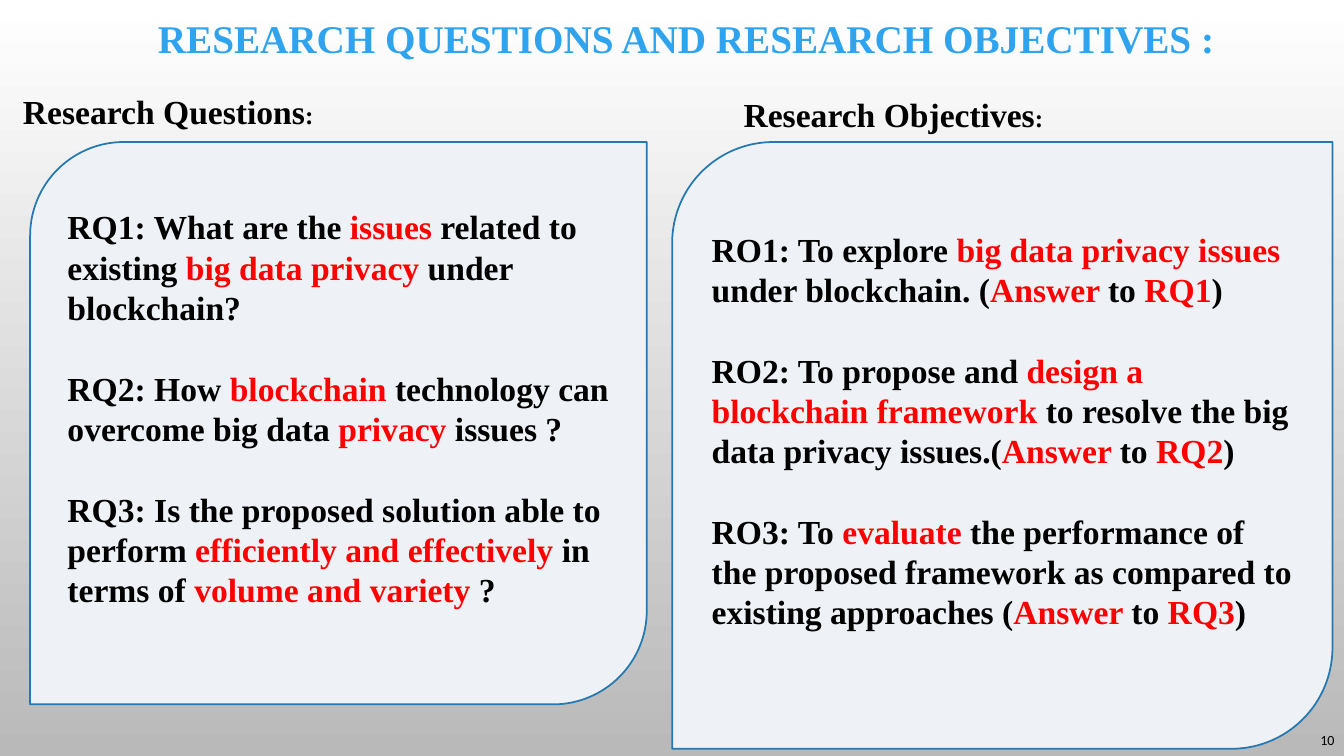
from pptx import Presentation
from pptx.dml.color import RGBColor
from pptx.enum.shapes import MSO_SHAPE
from pptx.enum.text import MSO_ANCHOR, MSO_AUTO_SIZE, PP_ALIGN
from pptx.util import Cm, Pt

PANEL = MSO_SHAPE.ROUND_2_DIAG_RECTANGLE
MIDDLE = MSO_ANCHOR.MIDDLE
GROW = MSO_AUTO_SIZE.SHAPE_TO_FIT_TEXT
LEFT, RIGHT = PP_ALIGN.LEFT, PP_ALIGN.RIGHT
SERIF, SANS = "Times New Roman", "Calibri"
BLACK, RED, BLUE = "000000", "FF0000", "2FA3EE"
PANEL_FILL, PANEL_LINE = "EEF2F7", "2379B0"
BACKGROUND = ["FFFFFF", "B9B9B9"]

# Content: boxes are left, top, width, height in cm; *stars* mark red words
TITLE = "RESEARCH QUESTIONS AND RESEARCH OBJECTIVES :"
TITLE_BOX = (3.73, 0.23, 27.69, 1.45)
PAGE_NUMBER = "10"
PAGE_NUMBER_BOX = (31.75, 18.26, 2.13, 0.79)
COLUMNS = [
    {
        "heading": "Research Questions",
        "heading_box": (0.33, 2.16, 7.9, 1.27),
        "panel_box": (0.76, 3.58, 15.54, 14.17),
        "items": [
            "RQ1: What are the *issues *related to existing *big data privacy *under blockchain?",
            "RQ2: How *blockchain *technology can overcome big data *privacy *issues ?",
            "RQ3: Is the proposed solution able to perform *efficiently and effectively *"
            "in terms of *volume and variety *?",
        ],
    },
    {
        "heading": "Research Objectives",
        "heading_box": (18.49, 2.24, 8.13, 1.27),
        "panel_box": (16.94, 3.58, 16.64, 15.29),
        "items": [
            "RO1: To explore *big data privacy issues *under blockchain. (*Answer *to *RQ1*)",
            "RO2: To propose and *design a blockchain framework *to resolve the big data "
            "privacy issues.(*Answer *to *RQ2*)",
            "RO3: To *evaluate *the performance of the proposed framework as compared to "
            "existing approaches (*Answer *to *RQ3*)",
        ],
    },
]


def color(value):
    return RGBColor.from_string(value)


def add_run(paragraph, text, size, shade=BLACK, font=SERIF, bold=True):
    run = paragraph.add_run()
    run.text = text
    run.font.size = Pt(size)
    run.font.name = font
    run.font.bold = bold
    run.font.color.rgb = color(shade)


def add_label(slide, box):
    frame = slide.shapes.add_textbox(*map(Cm, box)).text_frame
    frame.word_wrap = False
    frame.auto_size = GROW
    return frame.paragraphs[0]


def add_panel(slide, box, items):
    shape = slide.shapes.add_shape(PANEL, *map(Cm, box))
    shape.shadow.inherit = False
    shape.fill.solid()
    shape.fill.fore_color.rgb = color(PANEL_FILL)
    shape.line.color.rgb = color(PANEL_LINE)
    shape.line.width = Pt(1.25)
    frame = shape.text_frame
    frame.word_wrap = True
    frame.vertical_anchor = MIDDLE
    frame.margin_bottom = Cm(0.9)
    for index, item in enumerate(items):
        paragraph = frame.add_paragraph() if index else frame.paragraphs[0]
        paragraph.alignment = LEFT
        if index:
            paragraph.space_before = Pt(28.8)
        for part, text in enumerate(item.split("*")):
            add_run(paragraph, text, 24, RED if part % 2 else BLACK)


def main():
    presentation = Presentation()
    presentation.slide_width, presentation.slide_height = Cm(33.87), Cm(19.05)
    slide = presentation.slides.add_slide(presentation.slide_layouts[6])

    # Background, light at the top
    fill = slide.background.fill
    fill.gradient()
    fill.gradient_angle = 270
    for stop, shade in zip(fill.gradient_stops, BACKGROUND):
        stop.color.rgb = color(shade)

    # Title
    add_run(add_label(slide, TITLE_BOX), TITLE, 28, BLUE)

    # Headings and panels
    for column in COLUMNS:
        heading = add_label(slide, column["heading_box"])
        add_run(heading, column["heading"], 24)
        add_run(heading, ":", 18)
        add_panel(slide, column["panel_box"], column["items"])

    # Page number
    frame = slide.shapes.add_textbox(*map(Cm, PAGE_NUMBER_BOX)).text_frame
    frame.word_wrap = True
    frame.vertical_anchor = MIDDLE
    frame.paragraphs[0].alignment = RIGHT
    add_run(frame.paragraphs[0], PAGE_NUMBER, 10, font=SANS, bold=False)

    presentation.save("out.pptx")


if __name__ == "__main__":
    main()
